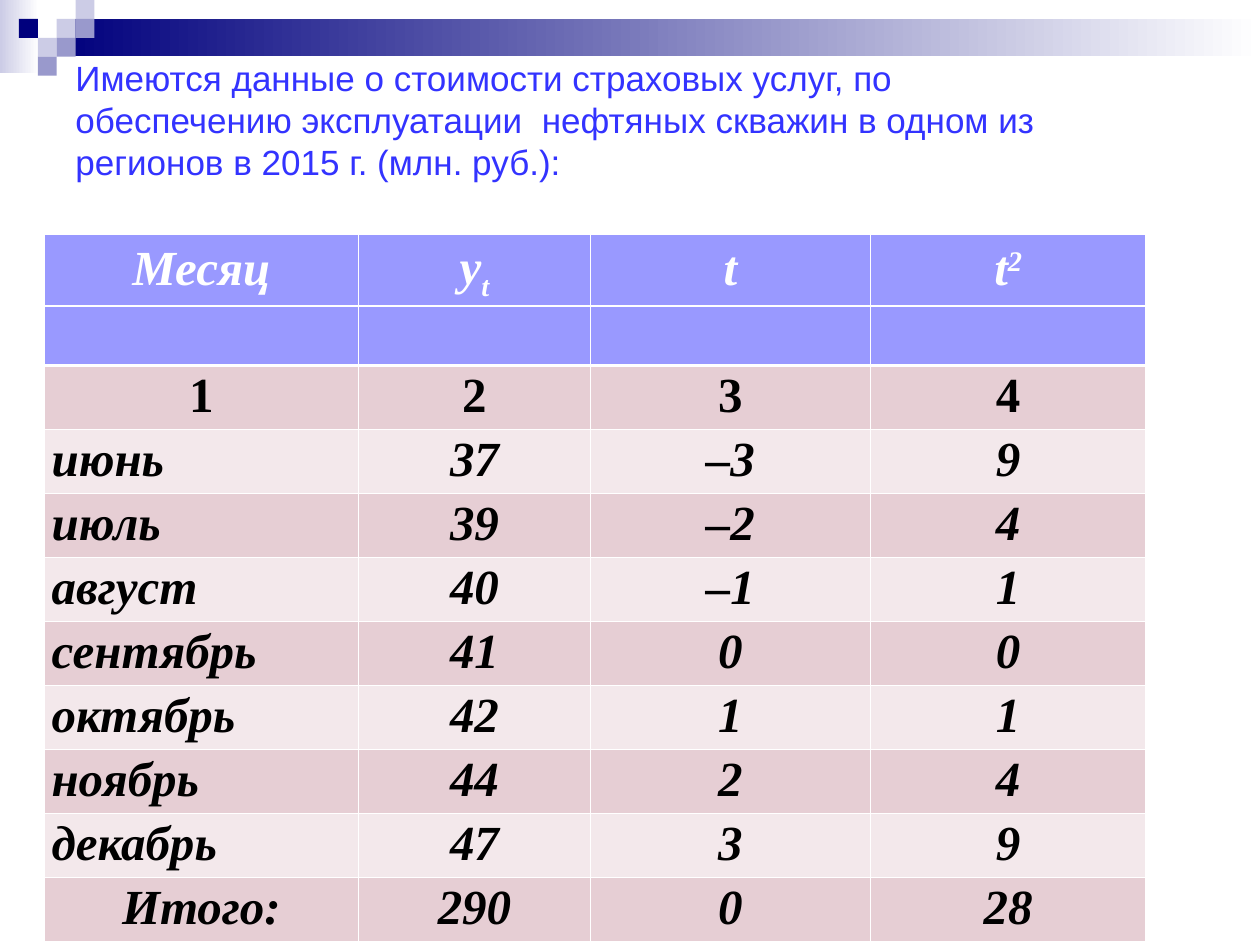
from pptx import Presentation
from pptx.util import Pt
from pptx.dml.color import RGBColor as RGB
from pptx.enum.shapes import MSO_SHAPE as Shape
from pptx.enum.text import MSO_ANCHOR as Anchor, PP_ALIGN as Align
from pptx.oxml.ns import qn
from lxml.etree import SubElement as Sub

HEX = {
    "navy": "00007D", "mid": "9999CC", "pale": "CCCCE6", "white": "FFFFFF",
    "title": "3333FF", "head": "9999FF", "dark": "E6CED4", "light": "F3E8EB",
    "black": "000000",
}
TITLE = ("Имеются данные о стоимости страховых услуг, по обеспечению "
         "эксплуатации  нефтяных скважин в одном из регионов в 2015 г. "
         "(млн. руб.):")
HEAD = [["Месяц"], ["y", "t"], ["t"], ["t", "2"]]
SHIFT = {"t": "-25000", "2": "30000"}
BODY = [
    ("1", "2", "3", "4"),
    ("июнь", "37", "–3", "9"),
    ("июль", "39", "–2", "4"),
    ("август", "40", "–1", "1"),
    ("сентябрь", "41", "0", "0"),
    ("октябрь", "42", "1", "1"),
    ("ноябрь", "44", "2", "4"),
    ("декабрь", "47", "3", "9"),
    ("Итого:", "290", "0", "28"),
]
WIDTHS = [179.8, 132.3, 160.2, 157.3]
TOP_ROW, ROW = 36.7, 33.8
TILE = 10.8
# column, row and colour of each square, in steps of one tile
TILES = [(3, 1, "pale"), (4, 0, "pale"), (4, 1, "mid"), (2, 2, "pale"),
         (1, 1, "navy"), (3, 2, "mid"), (2, 3, "mid")]


class Deck:
    def __init__(self, slide):
        self.slide = slide
        self.sans, self.serif = "Arial", "Times New Roman"

    def tint(self, name):
        return RGB.from_string(HEX[name])

    def rect(self, x, y, w, h, color, end=None):
        """Draw a borderless box, fading to the end colour if there is one."""
        box = self.slide.shapes.add_shape(
            Shape.RECTANGLE, Pt(x), Pt(y), Pt(w), Pt(h))
        box.shadow.inherit = False
        box.line.fill.background()
        if end is None:
            box.fill.solid()
            box.fill.fore_color.rgb = self.tint(color)
            return
        box.fill.gradient()
        box.fill.gradient_angle = 0
        for stop, name in zip(box.fill.gradient_stops, (color, end)):
            stop.color.rgb = self.tint(name)

    def font(self, run, face, size, color, bold=False, slant=False):
        font = run.font
        font.name, font.size = face, Pt(size)
        font.bold, font.italic = bold, slant
        font.color.rgb = self.tint(color)

    def title(self, x, y, w, h, text):
        frame = self.slide.shapes.add_textbox(
            Pt(x), Pt(y), Pt(w), Pt(h)).text_frame
        frame.word_wrap = True
        frame.vertical_anchor = Anchor.MIDDLE
        frame.text = text
        self.font(frame.paragraphs[0].runs[0], self.sans, 20, "title")

    def table(self, x, y, widths, heights):
        grid = self.slide.shapes.add_table(
            len(heights), len(widths), Pt(x), Pt(y),
            Pt(sum(widths)), Pt(sum(heights))).table
        grid.first_row = grid.horz_banding = False
        for col, size in zip(grid.columns, widths):
            col.width = Pt(size)
        for row, size in zip(grid.rows, heights):
            row.height = Pt(size)
        return grid

    def edge(self, cell, sides):
        """Draw white borders; sides maps L, R, T, B, in that order, to widths."""
        props = cell._tc.get_or_add_tcPr()
        for side, width in sides.items():
            line = Sub(props, qn("a:ln" + side), w=str(Pt(width)))
            fill = Sub(line, qn("a:solidFill"))
            Sub(fill, qn("a:srgbClr"), val=HEX["white"])

    def cell(self, cell, parts, fill, color, slant, pad, left=False):
        """Fill a cell; a second part is set as a sub- or superscript."""
        cell.fill.solid()
        cell.fill.fore_color.rgb = self.tint(fill)
        if not parts:
            return
        cell.margin_left = cell.margin_right = Pt(2.9)
        cell.margin_top, cell.margin_bottom = map(Pt, pad)
        para = cell.text_frame.paragraphs[0]
        para.line_spacing = 0.95
        para.alignment = Align.LEFT if left else Align.CENTER
        if left:
            para._p.get_or_add_pPr().set("marL", str(Pt(1.4)))
        for part in parts:
            run = para.add_run()
            run.text = part
            self.font(run, self.serif, 28, color, True, slant)
        for run in para.runs[1:]:
            run._r.get_or_add_rPr().set("baseline", SHIFT[run.text])


def main():
    show = Presentation()
    show.slide_width, show.slide_height = Pt(720), Pt(540)
    deck = Deck(show.slides.add_slide(show.slide_layouts[6]))

    deck.rect(0, 0, 22.3, 41.8, "pale", "white")
    deck.rect(32.4, TILE, 687.6, 21.2, "navy", "white")
    for col, row, color in TILES:
        deck.rect(col * TILE, row * TILE, TILE, TILE, color)
    deck.title(36, 25.2, 570.2, 85.7, TITLE)

    rows = [HEAD, [[]] * 4] + [[[text] for text in line] for line in BODY]
    grid = deck.table(25.2, 133.9, WIDTHS, [TOP_ROW] + [ROW] * (len(rows) - 1))
    for r, row in enumerate(rows):
        head = r < 2
        fill = "head" if head else ("dark", "light")[r % 2]
        color = "white" if head else "black"
        pad = (2.4, 2.4) if head else (3.6, 1)
        for c, parts in enumerate(row):
            cell = grid.cell(r, c)
            deck.edge(cell, {"L": 0.45, "R": 0.45,
                             "T": 1.47 if r in (1, 2) else 0.45,
                             "B": 1.47 if head else 0.45})
            month = c == 0 and 2 < r < len(rows) - 1
            deck.cell(cell, parts, fill, color, r != 2, pad, month)
            if r == 0:
                cell.vertical_anchor = Anchor.MIDDLE

    show.save("out.pptx")


if __name__ == "__main__":
    main()
